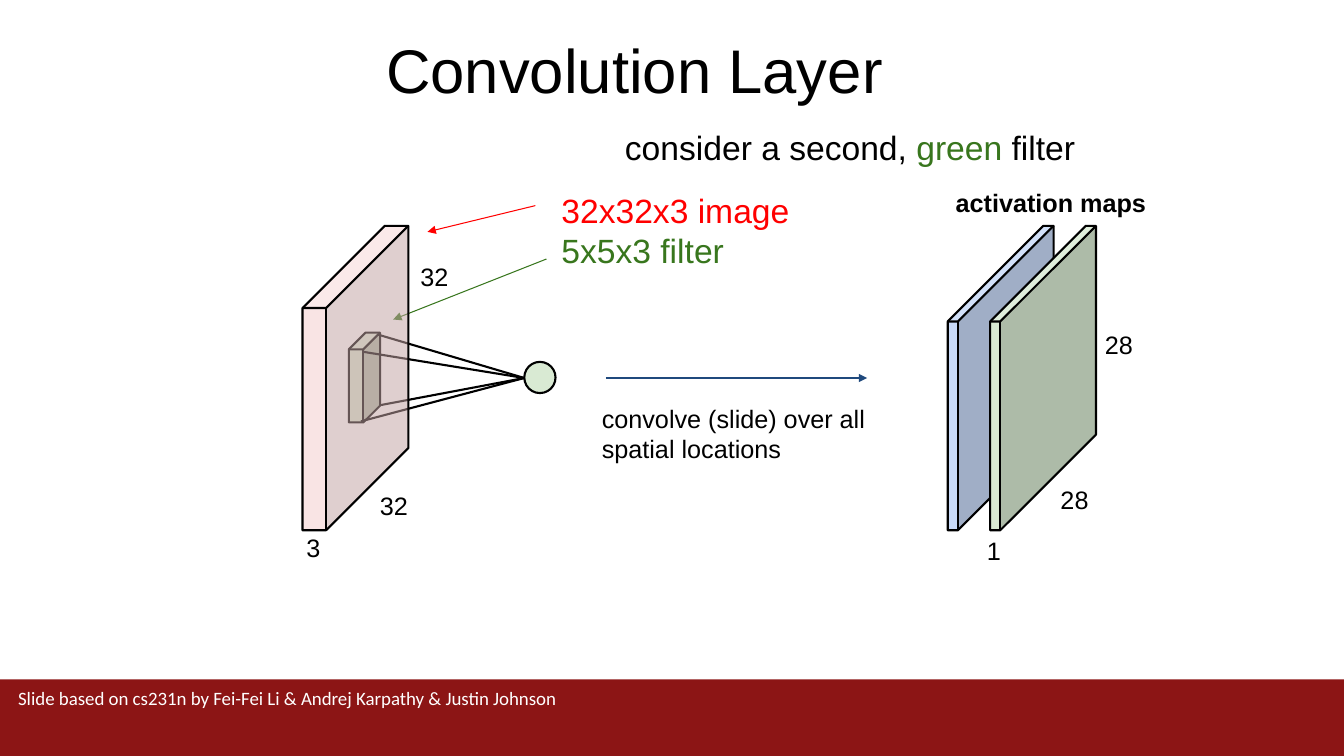
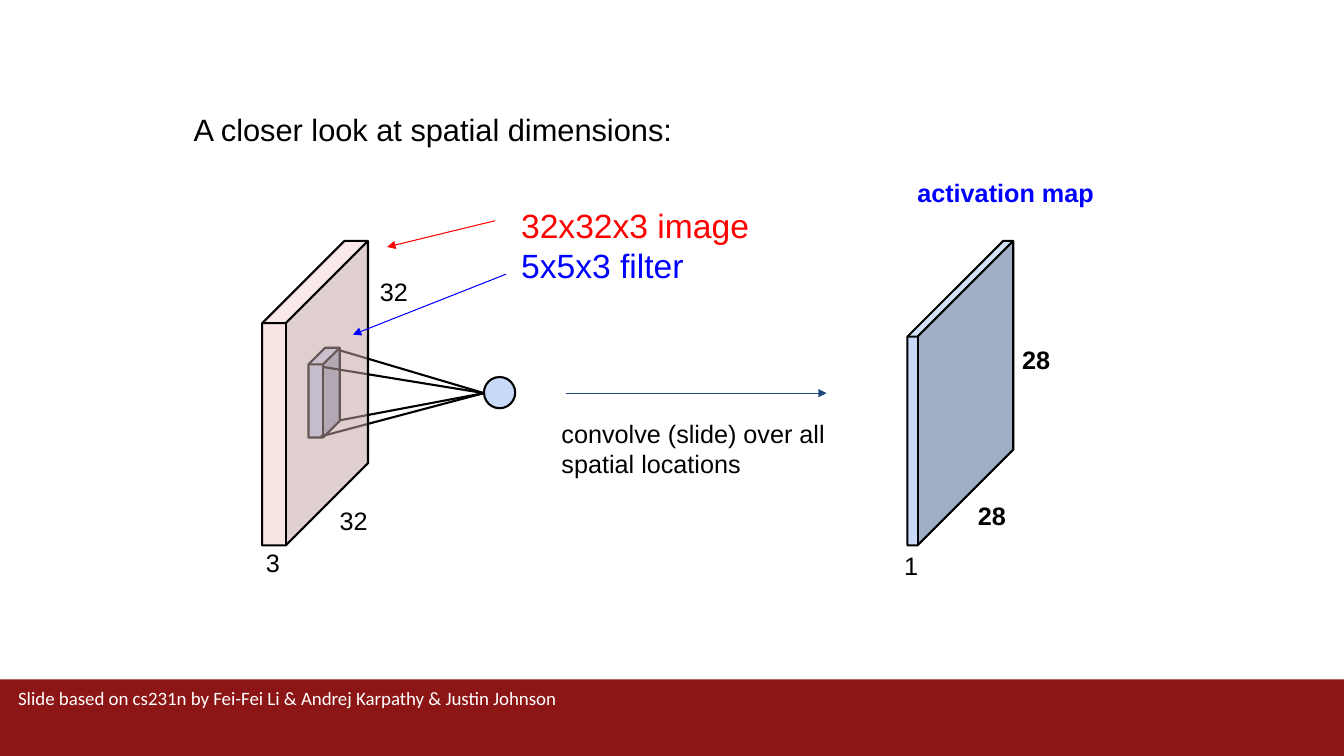
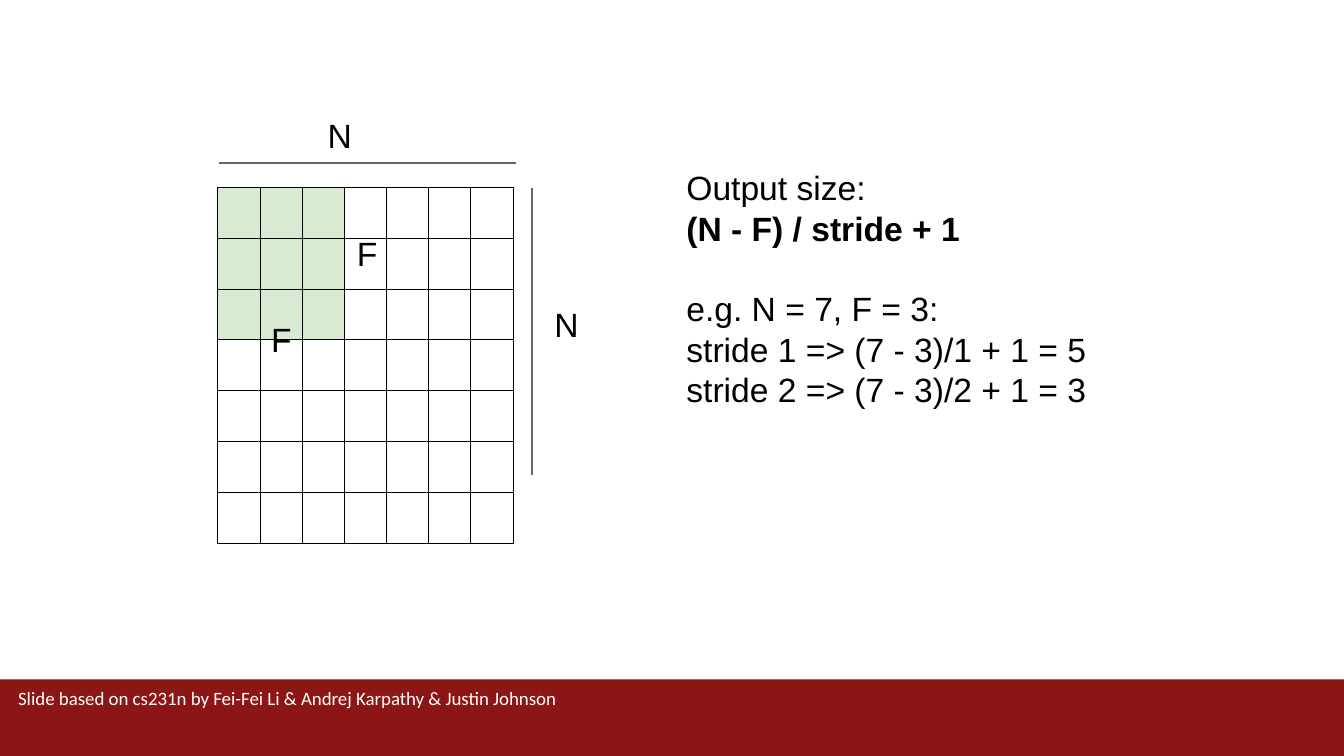
"""Build three slides on convolution layers and their output size."""
from dataclasses import dataclass

from lxml.etree import SubElement
from pptx import Presentation
from pptx.dml.color import RGBColor
from pptx.enum.shapes import MSO_CONNECTOR, MSO_SHAPE
from pptx.enum.text import MSO_ANCHOR, MSO_AUTO_SIZE, PP_ALIGN
from pptx.oxml.ns import qn
from pptx.presentation import Presentation as Deck
from pptx.shapes.autoshape import Shape
from pptx.slide import Slide
from pptx.text.text import TextFrame
from pptx.util import Inches, Pt

COLORS = {
    "black": "000000",
    "white": "FFFFFF",
    "band": "8C1515",
    "red": "FF0000",
    "green": "38761D",
    "blue": "0000FF",
    "navy": "1F497D",
    "gray": "666666",
    "pale_green": "D9EAD3",
    "pale_blue": "C9DAF8",
    "pale_red": "F4CCCC",
}
CREDIT = "Slide based on cs231n by Fei-Fei Li & Andrej Karpathy & Justin Johnson"
TITLE_ONLY, BLANK = 5, 6
GRID_SIZE, FILTER_SIZE = 7, 3


@dataclass(frozen=True)
class Span:
    text: str
    color: str = "black"
    bold: bool = False


@dataclass(frozen=True)
class Line:
    spans: tuple[Span, ...]
    before: float = 0


@dataclass(frozen=True)
class Box:
    left: float
    top: float
    width: float
    height: float


@dataclass(frozen=True)
class Stroke:
    start: tuple[float, float]
    end: tuple[float, float]
    color: str = "black"
    weight: float = 1.5
    arrow: bool = False


@dataclass(frozen=True)
class Scene:
    left: float
    top: float
    filter_fill: str
    filter_color: str
    map_fills: tuple[str, ...]
    heading: Span
    heading_box: Box
    bold_sizes: bool
    image_on_top: bool


SCENES = (
    Scene(3, 2.24, "pale_green", "green", ("pale_blue", "pale_green"),
          Span("activation maps", bold=True), Box(9.38, 1.76, 2.26, 0.59), False, True),
    Scene(2.6, 2.39, "pale_blue", "blue", ("pale_blue",),
          Span("activation map", "blue", True), Box(9, 1.66, 1.97, 0.59), True, False),
)


def rgb(name: str) -> RGBColor:
    return RGBColor.from_string(COLORS[name])


def plain(text: str, bold: bool = False, before: float = 0) -> Line:
    return Line((Span(text, bold=bold),), before)


def write(frame: TextFrame, lines: tuple[Line, ...], size: float, font: str = "Arial",
          inset: float = 0.1) -> None:
    frame.word_wrap = True
    frame.auto_size = MSO_AUTO_SIZE.NONE
    frame.vertical_anchor = MSO_ANCHOR.TOP
    frame.margin_left = frame.margin_right = Inches(inset)
    frame.margin_top = frame.margin_bottom = Inches(inset)
    for index, line in enumerate(lines):
        paragraph = frame.add_paragraph() if index else frame.paragraphs[0]
        paragraph.alignment = PP_ALIGN.LEFT
        if line.before:
            paragraph.space_before = Pt(line.before)
        for span in line.spans:
            run = paragraph.add_run()
            run.text = span.text
            run.font.name = font
            run.font.size = Pt(size)
            run.font.bold = span.bold
            run.font.color.rgb = rgb(span.color)


def add_text(slide: Slide, box: Box, lines: tuple[Line, ...], size: float = 18,
             font: str = "Arial", inset: float = 0.1) -> Shape:
    label = slide.shapes.add_textbox(
        Inches(box.left), Inches(box.top), Inches(box.width), Inches(box.height))
    write(label.text_frame, lines, size, font, inset)
    return label


def set_title(slide: Slide, box: Box, text: str, size: float, inset: float) -> None:
    title = slide.shapes.title
    title.left, title.top = Inches(box.left), Inches(box.top)
    title.width, title.height = Inches(box.width), Inches(box.height)
    write(title.text_frame, (plain(text),), size, inset=inset)


def add_solid(slide: Slide, preset: MSO_SHAPE, box: Box, fill: str,
              depth: float | None = None, outlined: bool = True) -> Shape:
    solid = slide.shapes.add_shape(
        preset, Inches(box.left), Inches(box.top), Inches(box.width), Inches(box.height))
    solid.shadow.inherit = False
    solid.fill.solid()
    solid.fill.fore_color.rgb = rgb(fill)
    if outlined:
        solid.line.color.rgb = rgb("black")
        solid.line.width = Pt(1.5)
    else:
        solid.line.fill.background()
    if depth is not None:
        solid.adjustments[0] = depth
    return solid


def add_stroke(slide: Slide, stroke: Stroke, left: float = 0, top: float = 0) -> None:
    (x1, y1), (x2, y2) = stroke.start, stroke.end
    connector = slide.shapes.add_connector(
        MSO_CONNECTOR.STRAIGHT, Inches(left + x1), Inches(top + y1),
        Inches(left + x2), Inches(top + y2))
    connector.line.color.rgb = rgb(stroke.color)
    connector.line.width = Pt(stroke.weight)
    properties = connector.element.spPr
    if stroke.arrow:
        SubElement(properties.find(qn("a:ln")), qn("a:tailEnd"), type="triangle")
    SubElement(properties, qn("a:effectLst"))


def add_image_volume(slide: Slide, scene: Scene) -> None:
    volume = add_solid(slide, MSO_SHAPE.CUBE, Box(scene.left, scene.top, 1.05, 3.02),
                       "pale_red", 0.777)
    fill_color = volume.element.spPr.find(qn("a:solidFill"))[0]
    SubElement(fill_color, qn("a:alpha"), val="52000")


def add_filter(slide: Slide, scene: Scene) -> None:
    left, top = scene.left, scene.top
    add_solid(slide, MSO_SHAPE.CUBE, Box(left + 0.46, top + 1.06, 0.31, 0.89),
              scene.filter_fill, 0.534)
    add_solid(slide, MSO_SHAPE.OVAL, Box(left + 2.2, top + 1.35, 0.31, 0.31),
              scene.filter_fill)
    for corner in ((0.58, 1.94), (0.6, 1.25), (0.75, 1.08), (0.77, 1.78)):
        add_stroke(slide, Stroke(corner, (2.2, 1.51)), left, top)


def add_annotations(slide: Slide, scene: Scene) -> None:
    left, top = scene.left, scene.top
    for text, x, y in (("32", 0.67, 2.52), ("32", 1.07, 0.25), ("3", -0.06, 2.94)):
        add_text(slide, Box(left + x, top + y, 0.54, 0.34), (plain(text),))
    add_text(slide, Box(left + 2.47, top - 0.46, 3.98, 0.6),
             (Line((Span("32x32x3 image", "red"),)),
              Line((Span("5x5x3 filter", scene.filter_color),))), 24)
    for start, end, color in (
        ((2.31, -0.2), (1.24, 0.06), "red"),
        ((2.42, 0.33), (0.9, 0.93), scene.filter_color),
        ((3.01, 1.51), (5.6, 1.51), "navy"),
    ):
        add_stroke(slide, Stroke(start, end, color, 0.75, True), left, top)
    add_text(slide, Box(left + 2.87, top + 1.66, 3.58, 0.89),
             (plain("convolve (slide) over all spatial locations"),))


def add_activation_maps(slide: Slide, scene: Scene) -> None:
    map_left = scene.left + 6.4
    for index, fill in enumerate(scene.map_fills):
        map_left = scene.left + 6.4 + 0.42 * index
        add_solid(slide, MSO_SHAPE.CUBE, Box(map_left, scene.top, 1.05, 3.02), fill, 0.904)
    add_text(slide, scene.heading_box, (Line((scene.heading,)),))
    for text, x, y, bold in (
        ("1", -0.13, 2.97, False),
        ("28", 0.6, 2.47, scene.bold_sizes),
        ("28", 1.04, 0.93, scene.bold_sizes),
    ):
        add_text(slide, Box(map_left + x, scene.top + y, 0.54, 0.34), (plain(text, bold),))


def draw_scene(slide: Slide, scene: Scene) -> None:
    add_filter(slide, scene)
    if not scene.image_on_top:
        add_image_volume(slide, scene)
    add_annotations(slide, scene)
    add_activation_maps(slide, scene)
    if scene.image_on_top:
        add_image_volume(slide, scene)


def add_master_footer(deck: Deck, slide: Slide) -> None:
    band = add_solid(slide, MSO_SHAPE.RECTANGLE, Box(0, 6.74, 13.33, 0.77), "band",
                     outlined=False)
    band.width = deck.slide_width
    credit = add_text(slide, Box(0.11, 6.74, 13.06, 0.79),
                      (Line((Span(CREDIT, "white"),)),), 13.5, "Calibri", 0.07)
    for number, part in enumerate((band, credit), start=101):
        part.element.nvSpPr.cNvPr.set("id", str(number))
        deck.slide_master.shapes.element.append(part.element)


def add_input_grid(slide: Slide) -> None:
    grid = slide.shapes.add_table(
        GRID_SIZE, GRID_SIZE, Inches(2.16), Inches(1.86), Inches(2.93), Inches(3.53)).table
    grid.first_row = grid.horz_banding = False
    for row in range(GRID_SIZE):
        for column in range(GRID_SIZE):
            cell = grid.cell(row, column)
            properties = cell._tc.get_or_add_tcPr()
            for side in ("lnL", "lnR", "lnT", "lnB"):
                border = SubElement(properties, qn(f"a:{side}"), w=str(Pt(0.75)))
                paint = SubElement(border, qn("a:solidFill"))
                SubElement(paint, qn("a:srgbClr"), val=COLORS["black"])
            if row >= FILTER_SIZE:
                cell.fill.background()
                continue
            cell.fill.solid()
            cell.fill.fore_color.rgb = rgb("pale_green" if column < FILTER_SIZE else "white")


def build_second_filter(slide: Slide) -> None:
    set_title(slide, Box(3.83, 0.3, 5.67, 0.75), "Convolution Layer", 44, 0)
    slide.shapes.title.text_frame.vertical_anchor = MSO_ANCHOR.BOTTOM
    draw_scene(slide, SCENES[0])
    add_text(slide, Box(6.1, 1.16, 5.54, 0.31),
             (Line((Span("consider a second, "), Span("green ", "green"), Span("filter"))),),
             24)


def build_closer_look(slide: Slide) -> None:
    set_title(slide, Box(1.82, 1, 9.16, 0.66), "A closer look at spatial dimensions:", 22, 0.1)
    draw_scene(slide, SCENES[1])


def build_output_size(slide: Slide) -> None:
    add_input_grid(slide)
    for start, end in (((2.17, 1.62), (5.12, 1.62)), ((5.28, 1.87), (5.28, 4.71))):
        add_stroke(slide, Stroke(start, end, "gray"))
    for text, x, y in (("N", 3.15, 1.04), ("N", 5.4, 2.92), ("F", 2.59, 3.06), ("F", 3.44, 2.21)):
        add_text(slide, Box(x, y, 0.85, 0.43), (plain(text),), 24)
    add_text(slide, Box(6.71, 1.56, 4.96, 2.64), (
        plain("Output size:"),
        plain("(N - F) / stride + 1", bold=True),
        plain("e.g. N = 7, F = 3:", before=28.8),
        plain("stride 1 => (7 - 3)/1 + 1 = 5"),
        plain("stride 2 => (7 - 3)/2 + 1 = 3"),
    ), 24)


def main() -> None:
    deck = Presentation()
    deck.slide_width, deck.slide_height = Inches(13.33), Inches(7.5)
    second_filter, closer_look, output_size = (
        deck.slides.add_slide(deck.slide_layouts[layout])
        for layout in (TITLE_ONLY, TITLE_ONLY, BLANK))
    add_master_footer(deck, second_filter)
    build_second_filter(second_filter)
    build_closer_look(closer_look)
    build_output_size(output_size)
    deck.save("out.pptx")


if __name__ == "__main__":
    main()
